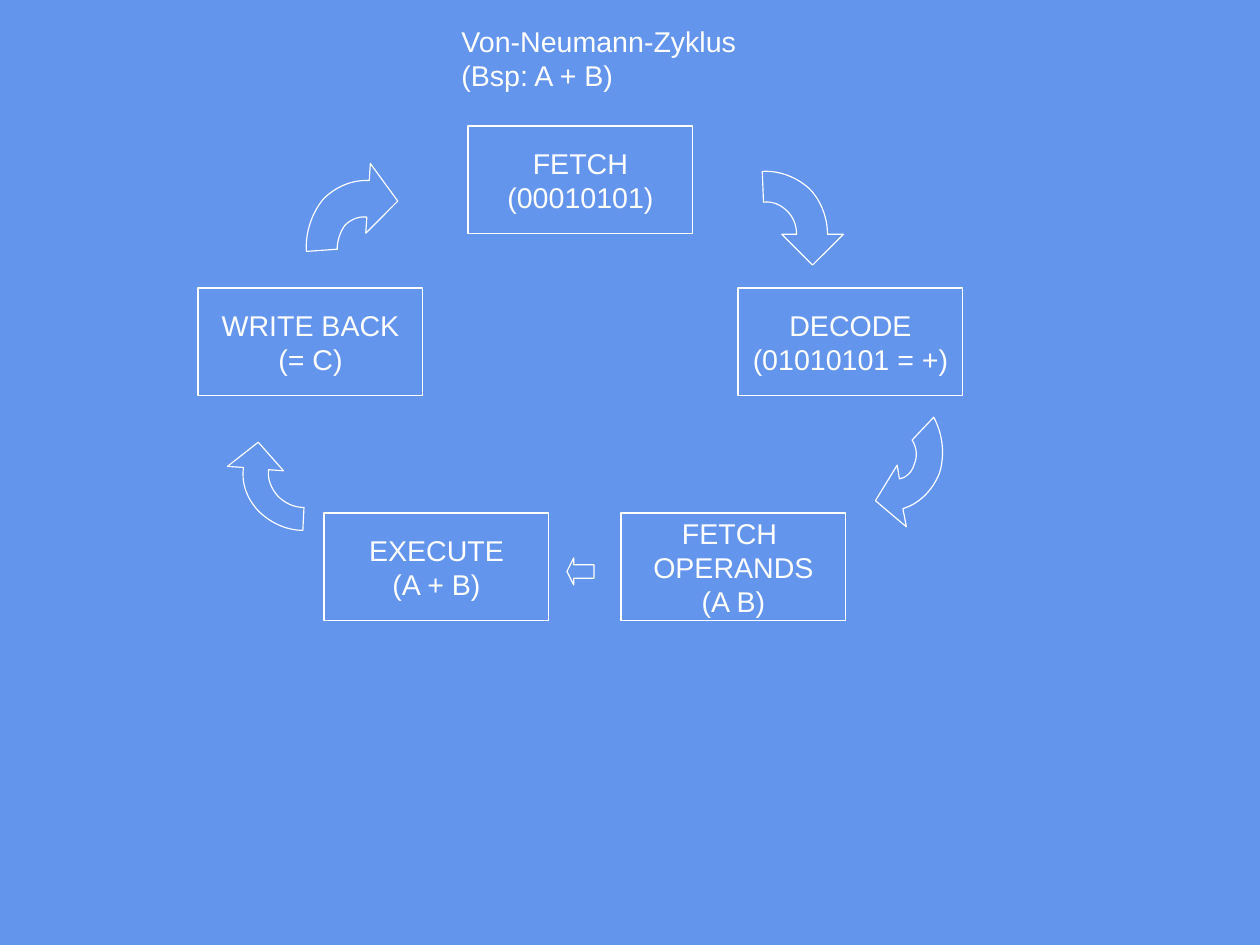
"""Builds a slide showing the von Neumann cycle as five boxes joined by arrows."""
from dataclasses import dataclass

from lxml import etree
from pptx import Presentation, util as u
from pptx.dml.color import RGBColor
from pptx.enum import shapes, text
from pptx.oxml.ns import qn


@dataclass(frozen=True)
class Theme:
    blue: RGBColor = RGBColor(0x64, 0x95, 0xED)
    white: RGBColor = RGBColor(0xFF, 0xFF, 0xFF)
    font: str = "Arial"
    size: int = 18


theme = Theme()


def paint(shape):
    shape.shadow.inherit = False
    shape.fill.solid()
    shape.fill.fore_color.rgb = theme.blue
    shape.line.color.rgb = theme.white
    shape.line.width = u.Pt(0)


def write(frame, lines, alignment):
    for number, line in enumerate(lines):
        para = frame.add_paragraph() if number else frame.paragraphs[0]
        para.text = line
        para.alignment = alignment
        para.line_spacing = 1.0
        para.space_before = u.Pt(0)
        para.font.name = theme.font
        para.font.size = u.Pt(theme.size)
        para.font.color.rgb = theme.white


deck = Presentation()
deck.slide_width, deck.slide_height = u.Pt(793.7), u.Pt(595.28)
page = deck.slides.add_slide(deck.slide_layouts[5])
page.background.fill.solid()
page.background.fill.fore_color.rgb = theme.blue

title = page.shapes.title
title.left, title.top = u.Pt(283.46), u.Pt(11.34)
title.width, title.height = u.Pt(238.3), u.Pt(47.5)
title.text_frame.vertical_anchor = text.MSO_ANCHOR.TOP
title.text_frame.auto_size = text.MSO_AUTO_SIZE.NONE
write(title.text_frame, ["Von-Neumann-Zyklus", "(Bsp: A + B)"], text.PP_ALIGN.LEFT)

steps = [
    (294.8, 79.37, ["FETCH", "(00010101)"]),
    (464.88, 181.42, ["DECODE", "(01010101 = +)"]),
    (391.18, 323.15, ["FETCH ", "OPERANDS", "(A B)"]),
    (204.09, 323.15, ["EXECUTE", "(A + B)"]),
    (124.72, 181.42, ["WRITE BACK", "(= C)"]),
]
for left, top, lines in steps:
    box = page.shapes.add_shape(
        shapes.MSO_SHAPE.RECTANGLE, u.Pt(left), u.Pt(top), u.Pt(141.73), u.Pt(68.03))
    paint(box)
    box.text_frame.word_wrap = False
    box.text_frame.vertical_anchor = text.MSO_ANCHOR.MIDDLE
    write(box.text_frame, lines, text.PP_ALIGN.CENTER)

left_arrow = page.shapes.add_shape(
    shapes.MSO_SHAPE.LEFT_ARROW, u.Pt(357.17), u.Pt(351.5), u.Pt(17), u.Pt(17))
left_arrow.adjustments[0], left_arrow.adjustments[1] = 0.5, 0.25
paint(left_arrow)

curved_arrows = [
    ((442.1, 108, 79.2, 79.2),
     [(501.8, 147.6), (501.8, 141.8), (499.7, 136.8), (496.1, 133.2),
      (491.8, 128.9), (486.7, 126.7), (481, 127.4)],
     [(480.2, 108), (491, 107.3), (501.8, 111.6), (509.8, 118.8),
      (517, 126), (521.3, 136.8), (521.3, 147.6)],
     [(531.4, 147.6), (511.9, 167), (492.5, 147.6)]),
    ((532.8, 249.1, 62.6, 73.4),
     [(566.6, 301.7), (571, 301), (574.6, 297.4), (576, 292.3),
      (578.2, 287.3), (577.4, 281.5), (574.6, 277.2)],
     [(588.2, 262.8), (594, 273.6), (595.4, 286.6), (591.8, 298.1),
      (587.5, 308.9), (578.9, 317.5), (568.8, 320.4)],
     [(571, 331.9), (551.5, 315.4), (565.2, 293)]),
    ((153.4, 260.6, 79.2, 73.4),
     [(169.2, 295.9), (168.5, 301.7), (170.6, 307.4), (175, 312.5),
      (179.3, 316.8), (185, 319.7), (191.5, 319.7)],
     [(190.8, 334.1), (180, 334.1), (169.9, 329), (162.7, 321.8),
      (155.5, 313.9), (151.9, 304.6), (153.4, 294.5)],
     [(143.3, 293.8), (162.7, 278.6), (178.6, 296.6)]),
    ((193, 113, 73.4, 85),
     [(231.1, 136.8), (226.1, 136.1), (221, 138.2), (217.4, 141.8),
      (214.6, 145.4), (212.4, 151.2), (212.4, 157)],
     [(193, 158.4), (192.2, 146.2), (196.6, 133.9), (203.8, 125.3),
      (211.7, 117.4), (222.5, 113), (232.6, 113.8)],
     [(233.3, 103), (250.6, 126.7), (230.4, 146.9)]),
]
curve_starts = (1, 4, 8, 11)
for bounds, inner, outer, head in curved_arrows:
    left, top, width, height = [u.Pt(length) for length in bounds]
    corners = [(u.Pt(x), u.Pt(y)) for x, y in inner + outer + head]
    builder = page.shapes.build_freeform(*corners[0])
    builder.add_line_segments(corners[1:], close=True)
    arrow = builder.convert_to_shape()
    paint(arrow)

    outline = arrow.element.find(".//" + qn("a:path"))
    outline.set("w", str(width))
    outline.set("h", str(height))
    for point, (x, y) in zip(outline.iter(qn("a:pt")), corners):
        point.set("x", str(x - left))
        point.set("y", str(y - top))
    segments = list(outline)
    for start in curve_starts:
        curve = etree.Element(qn("a:cubicBezTo"))
        segments[start].addprevious(curve)
        for segment in segments[start:start + 3]:
            curve.append(segment[0])
            outline.remove(segment)
    arrow.left, arrow.top, arrow.width, arrow.height = left, top, width, height

deck.save("out.pptx")
